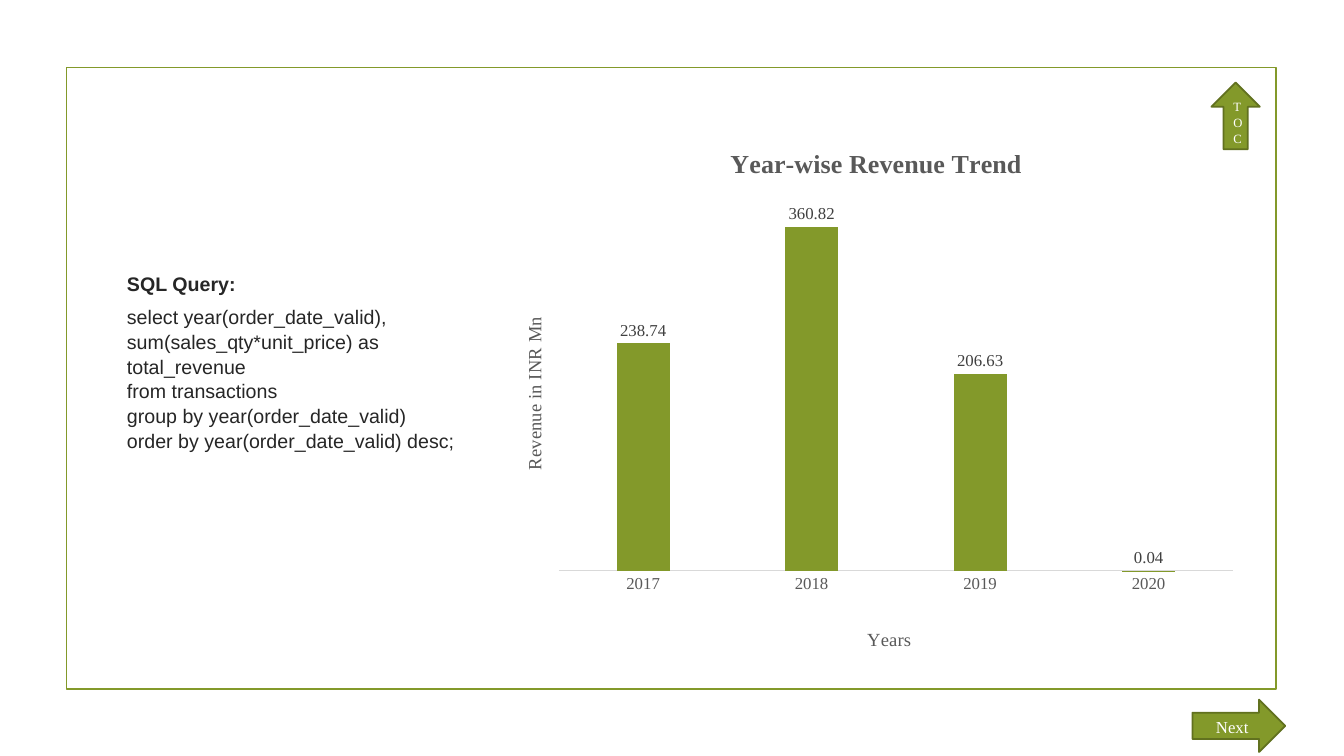
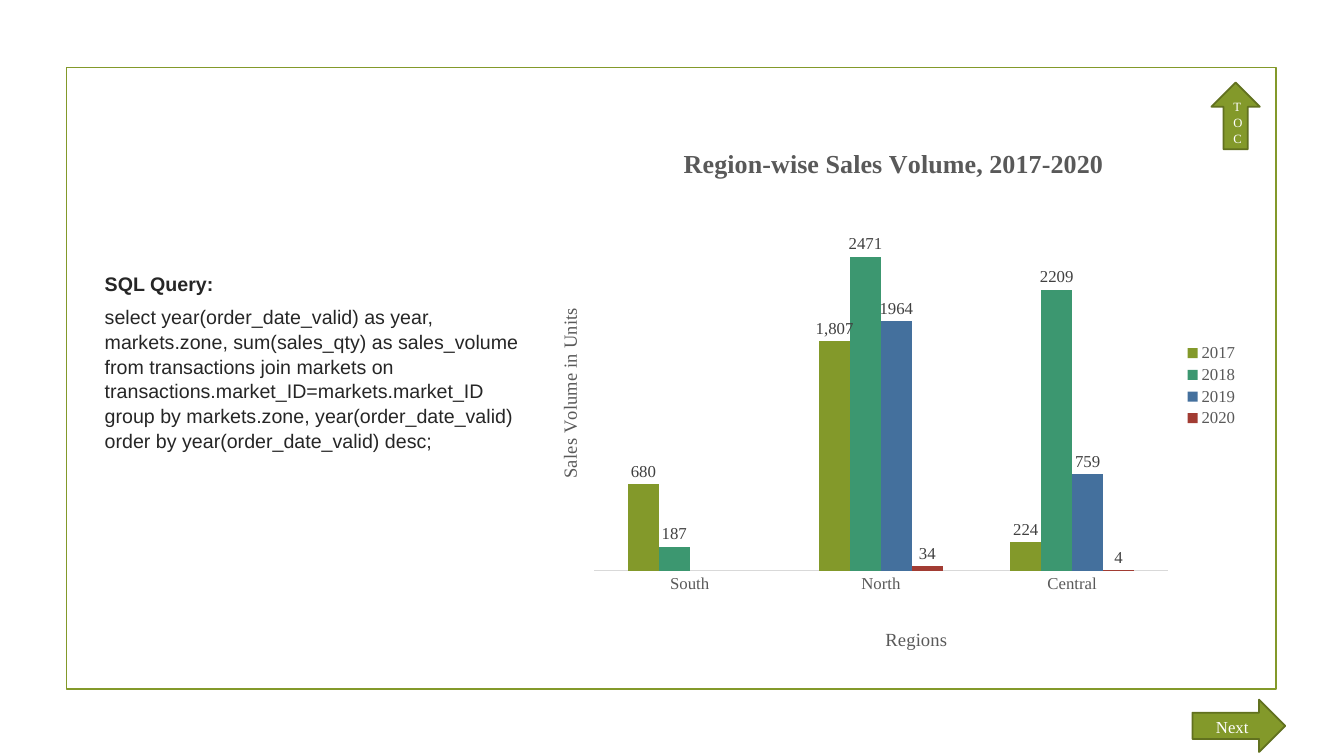
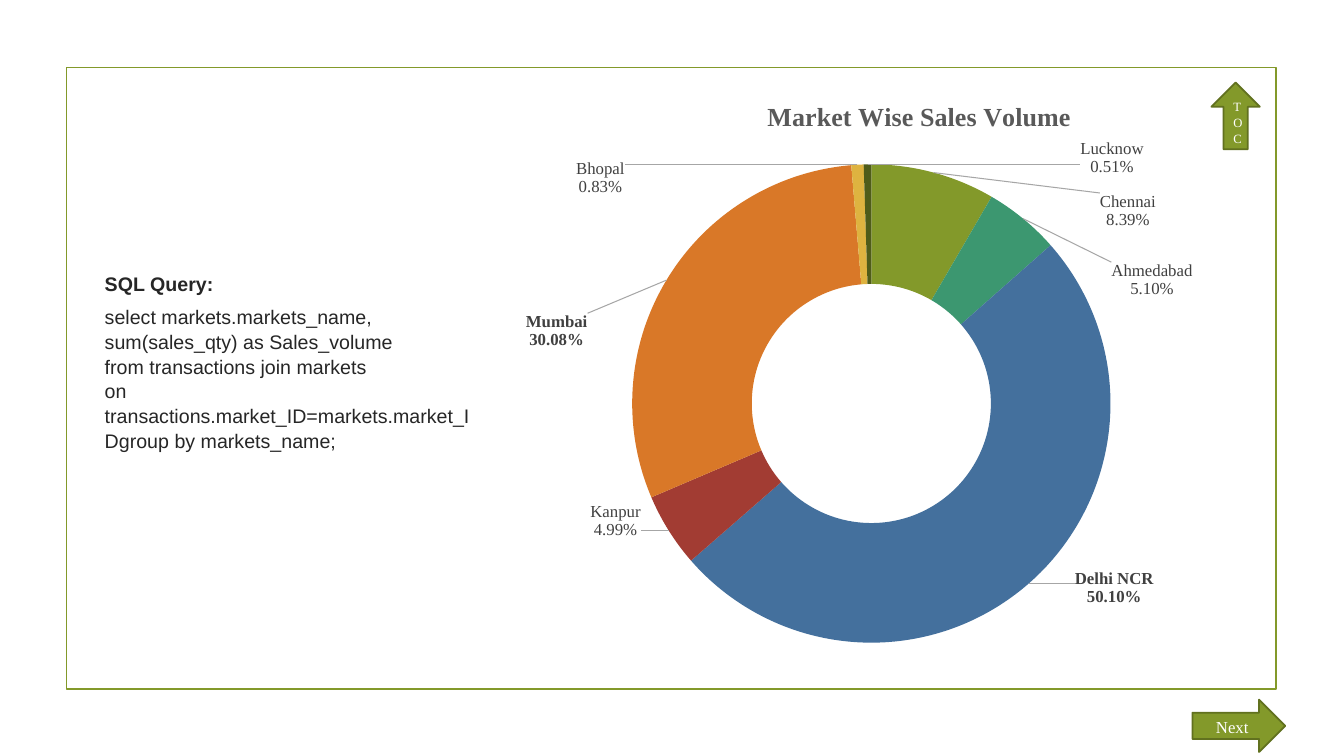
import math

import lxml.etree
import pptx
import pptx.chart.data
import pptx.dml.color
import pptx.enum.chart
import pptx.enum.shapes
import pptx.enum.text
import pptx.oxml
import pptx.util

Cm = pptx.util.Cm
Pt = pptx.util.Pt
SHAPE = pptx.enum.shapes.MSO_SHAPE
CHART = pptx.enum.chart.XL_CHART_TYPE

SERIF, SANS = "Times New Roman", "Arial"
COLORS = {
    "olive": "83992A", "dark_olive": "61711F", "green": "3C9770",
    "blue": "44709D", "red": "A23C33", "orange": "D97828",
    "yellow": "DEB340", "moss": "4F5C19", "white": "FFFFFF",
    "body": "262626", "label": "404040", "heading": "595959",
    "axis": "D9D9D9", "leader": "A6A6A6",
}
SERIES_COLORS = ["olive", "green", "blue", "red", "orange", "yellow", "moss"]
C_URI = "http://schemas.openxmlformats.org/drawingml/2006/chart"
A_URI = "http://schemas.openxmlformats.org/drawingml/2006/main"
NS = {"c": C_URI, "a": A_URI}
LINE_SPACING = 1.05


def rgb(name):
    return pptx.dml.color.RGBColor.from_string(COLORS[name])


def set_font(font, size, color, name=SERIF, bold=False):
    font.size = Pt(size)
    font.name = name
    font.bold = bold
    font.color.rgb = rgb(color)


def write_text(p, text, align=None, after=0, spacing=None, **font):
    r = p.add_run()
    r.text = text
    set_font(r.font, **font)
    if align is not None:
        p.alignment = align
    if spacing:
        p.line_spacing = spacing
        p.space_after = Pt(after)


def add_box(slide, kind, box, line, fill=None):
    sp = slide.shapes.add_shape(kind, *map(Cm, box))
    sp.shadow.inherit = False
    if fill:
        sp.fill.solid()
        sp.fill.fore_color.rgb = rgb(fill)
    else:
        sp.fill.background()
    sp.line.color.rgb = rgb(line)
    sp.line.width = Pt(1.25)
    return sp


def add_arrow(slide, kind, box, text, size):
    tf = add_box(slide, kind, box, "dark_olive", "olive").text_frame
    tf.word_wrap = True
    tf.vertical_anchor = pptx.enum.text.MSO_ANCHOR.MIDDLE
    write_text(tf.paragraphs[0], text, align=pptx.enum.text.PP_ALIGN.CENTER,
               spacing=LINE_SPACING, size=size, color="white")


def add_framed_slide(prs):
    slide = prs.slides.add_slide(prs.slide_layouts[6])
    add_box(slide, SHAPE.RECTANGLE, (1.68, 1.7, 30.48, 15.67), "olive")
    return slide


def add_navigation(slide):
    add_arrow(slide, SHAPE.UP_ARROW, (30.53, 2.08, 1.22, 1.68), "TOC", 9)
    add_arrow(slide, SHAPE.RIGHT_ARROW, (30.05, 17.63, 2.34, 1.32), "Next", 12)


def add_query(slide, left, width, lines):
    tf = slide.shapes.add_textbox(Cm(left), Cm(3.71), Cm(width), Cm(10.8)).text_frame
    tf.word_wrap = True
    tf.vertical_anchor = pptx.enum.text.MSO_ANCHOR.MIDDLE
    style = {"size": 14, "color": "body", "name": SANS, "spacing": LINE_SPACING}
    write_text(tf.paragraphs[0], "SQL Query:", bold=True, after=6, **style)
    for line in lines:
        write_text(tf.add_paragraph(), line, **style)


def set_layout(el, index, x, y, w=None, h=None):
    """Place a chart part by fractions of the chart; index is its slot in el."""
    for old in el.findall("c:layout", NS):
        el.remove(old)
    size = ""
    target = ""
    if w is not None:
        target = '<c:layoutTarget val="inner"/>'
        size = f'<c:w val="{w}"/><c:h val="{h}"/>'
    el.insert(index, pptx.oxml.parse_xml(
        f'<c:layout xmlns:c="{C_URI}"><c:manualLayout>{target}'
        '<c:xMode val="edge"/><c:yMode val="edge"/>'
        f'<c:x val="{x}"/><c:y val="{y}"/>{size}</c:manualLayout></c:layout>'))


def write_chart_text(title, text, place, size, bold=False):
    write_text(title.text_frame.paragraphs[0], text, size=size,
               color="heading", bold=bold)
    set_layout(title.element, 1, *place)


def add_chart(slide, kind, box, cats, series, title, title_place, plot):
    data = pptx.chart.data.CategoryChartData()
    data.categories = cats
    for name, vals in series:
        data.add_series(name, vals)
    chart = slide.shapes.add_chart(kind, *map(Cm, box), data).chart
    set_font(chart.font, 12, "heading")
    chart.has_legend = False
    chart.has_title = True
    write_chart_text(chart.chart_title, title, title_place, 18.6, bold=True)
    set_layout(chart.element.find(".//c:plotArea", NS), 0, *plot)
    return chart


def add_column_chart(slide, box, cats, series, formats, top, title, title_place,
                     plot, cat_title, val_title, val_place):
    chart = add_chart(slide, CHART.COLUMN_CLUSTERED, box, cats, series,
                      title, title_place, plot)
    bars = chart.plots[0]
    bars.gap_width = 219
    bars.overlap = 0
    bars.vary_by_categories = False
    for ser, color, number_format in zip(bars.series, SERIES_COLORS, formats):
        ser.format.fill.solid()
        ser.format.fill.fore_color.rgb = rgb(color)
        labels = ser.data_labels
        labels.show_value = True
        labels.number_format = number_format
        labels.number_format_is_linked = False
        labels.position = pptx.enum.chart.XL_LABEL_POSITION.OUTSIDE_END
        set_font(labels.font, 12, "label")

    cat_axis, val_axis = chart.category_axis, chart.value_axis
    cat_axis.major_tick_mark = pptx.enum.chart.XL_TICK_MARK.NONE
    cat_axis.format.line.color.rgb = rgb("axis")
    cat_axis.format.line.width = Pt(0.75)
    set_font(cat_axis.tick_labels.font, 12, "heading")
    val_axis.minimum_scale, val_axis.maximum_scale = 0, top
    val_axis.has_major_gridlines = False
    val_axis.visible = False
    write_chart_text(cat_axis.axis_title, cat_title, (0.49, 0.948), 13.3)
    write_chart_text(val_axis.axis_title, val_title, val_place, 13.3)
    body = val_axis.axis_title.element.find(".//a:bodyPr", NS)
    body.set("rot", "-5400000")
    body.set("vert", "horz")
    return chart


def add_right_legend(chart):
    chart.has_legend = True
    chart.legend.position = pptx.enum.chart.XL_LEGEND_POSITION.RIGHT
    chart.legend.include_in_layout = False
    set_font(chart.legend.font, 12, "heading")


def label_format(bold=False):
    return (
        '<c:numFmt formatCode="0.00%" sourceLinked="0"/>'
        '<c:spPr><a:noFill/><a:ln><a:noFill/></a:ln></c:spPr>'
        '<c:txPr><a:bodyPr wrap="none"/><a:p><a:pPr>'
        f'<a:defRPr sz="1200" b="{int(bold)}"><a:solidFill>'
        f'<a:srgbClr val="{COLORS["label"]}"/></a:solidFill>'
        f'<a:latin typeface="{SERIF}"/></a:defRPr></a:pPr>'
        '<a:endParaRPr lang="en-US"/></a:p></c:txPr>'
        '<c:showLegendKey val="0"/><c:showVal val="0"/><c:showCatName val="1"/>'
        '<c:showSerName val="0"/><c:showPercent val="1"/>'
        '<c:showBubbleSize val="0"/><c:separator>\n</c:separator>')


def add_ring_labels(chart, vals, centres, bold_from, plot):
    """Move each label from the middle of its ring segment to its centre."""
    x, y, w, h = plot
    labels = []
    start = 0
    for i, (val, (cx, cy)) in enumerate(zip(vals, centres)):
        angle = 2 * math.pi * (start + val / 2) / sum(vals)
        start += val
        dx = cx - (x + w / 2 + 0.375 * w * math.sin(angle))
        dy = cy - (y + h / 2 - 0.375 * h * math.cos(angle))
        labels.append(
            f'<c:dLbl><c:idx val="{i}"/><c:layout><c:manualLayout>'
            f'<c:x val="{dx:.4f}"/><c:y val="{dy:.4f}"/></c:manualLayout>'
            f'</c:layout>{label_format(val > bold_from)}</c:dLbl>')
    group = pptx.oxml.parse_xml(
        f'<c:dLbls xmlns:c="{C_URI}" xmlns:a="{A_URI}">{"".join(labels)}'
        f'{label_format()}<c:showLeaderLines val="1"/><c:leaderLines><c:spPr>'
        f'<a:ln w="9525"><a:solidFill><a:srgbClr val="{COLORS["leader"]}"/>'
        '</a:solidFill></a:ln></c:spPr></c:leaderLines></c:dLbls>')
    chart.element.find(".//c:ser/c:cat", NS).addprevious(group)


def build_revenue(prs):
    slide = add_framed_slide(prs)
    add_column_chart(
        slide, (12.45, 3.02, 19.02, 13.51), ["2017", "2018", "2019", "2020"],
        [("Series 1", [238.74, 360.82, 206.63, 0.04])], ["#,##0.00"], 400,
        "Year-wise Revenue Trend", (0.307, 0.043), (0.086, 0.131, 0.893, 0.717),
        "Years", "Revenue in INR Mn", (0.033, 0.366))
    add_query(slide, 2.95, 8.94, [
        "select year(order_date_valid), sum(sales_qty*unit_price) as total_revenue",
        "from transactions",
        "group by year(order_date_valid)",
        "order by year(order_date_valid) desc;"])
    add_navigation(slide)


def build_regions(prs):
    slide = add_framed_slide(prs)
    add_query(slide, 2.39, 11.23, [
        "select year(order_date_valid) as year, markets.zone, sum(sales_qty) as "
        "sales_volume from transactions join markets on "
        "transactions.market_ID=markets.market_ID",
        "group by markets.zone, year(order_date_valid)",
        "order by year(order_date_valid) desc;"])
    chart = add_column_chart(
        slide, (13.34, 3.02, 18.14, 13.51), ["South", "North", "Central"],
        [("2017", [680, 1807, 224]), ("2018", [187, 2471, 2209]),
         ("2019", [None, 1964, 759]), ("2020", [None, 34, 4])],
        ["#,##0"] + ["General"] * 3, 3000,
        "Region-wise Sales Volume, 2017-2020", (0.208, 0.043),
        (0.09, 0.131, 0.797, 0.717),
        "Regions", "Sales Volume in Units", (0.035, 0.35))
    add_right_legend(chart)
    add_navigation(slide)


def build_markets(prs):
    slide = add_framed_slide(prs)
    plot = (0.183, 0.133, 0.634, 0.843)
    shares = {
        "Chennai": (8.39, (0.84, 0.215)), "Ahmedabad": (5.1, (0.872, 0.337)),
        "Delhi NCR": (50.1, (0.822, 0.88)), "Kanpur": (4.99, (0.161, 0.761)),
        "Mumbai": (30.08, (0.083, 0.427)), "Bhopal": (0.83, (0.141, 0.157)),
        "Lucknow": (0.51, (0.819, 0.122)),
    }
    vals, centres = zip(*shares.values())
    chart = add_chart(
        slide, CHART.DOUGHNUT, (12.45, 2.24, 19.02, 14.3), list(shares),
        [("Series 1", vals)], "Market Wise Sales Volume", (0.356, 0.012), plot)
    ring = chart.plots[0]
    ring.vary_by_categories = False
    for i, color in enumerate(SERIES_COLORS):
        fill = ring.series[0].points[i].format.fill
        fill.solid()
        fill.fore_color.rgb = rgb(color)
    add_ring_labels(chart, vals, centres, 30, plot)
    add_query(slide, 2.39, 10.06, [
        "select markets.markets_name, sum(sales_qty) as Sales_volume",
        "from transactions join markets",
        "on transactions.market_ID=markets.market_IDgroup by markets_name;"])
    add_navigation(slide)


def main():
    prs = pptx.Presentation()
    prs.slide_width, prs.slide_height = Cm(33.87), Cm(19.05)
    build_revenue(prs)
    build_regions(prs)
    build_markets(prs)
    prs.save("out.pptx")


if __name__ == "__main__":
    main()
